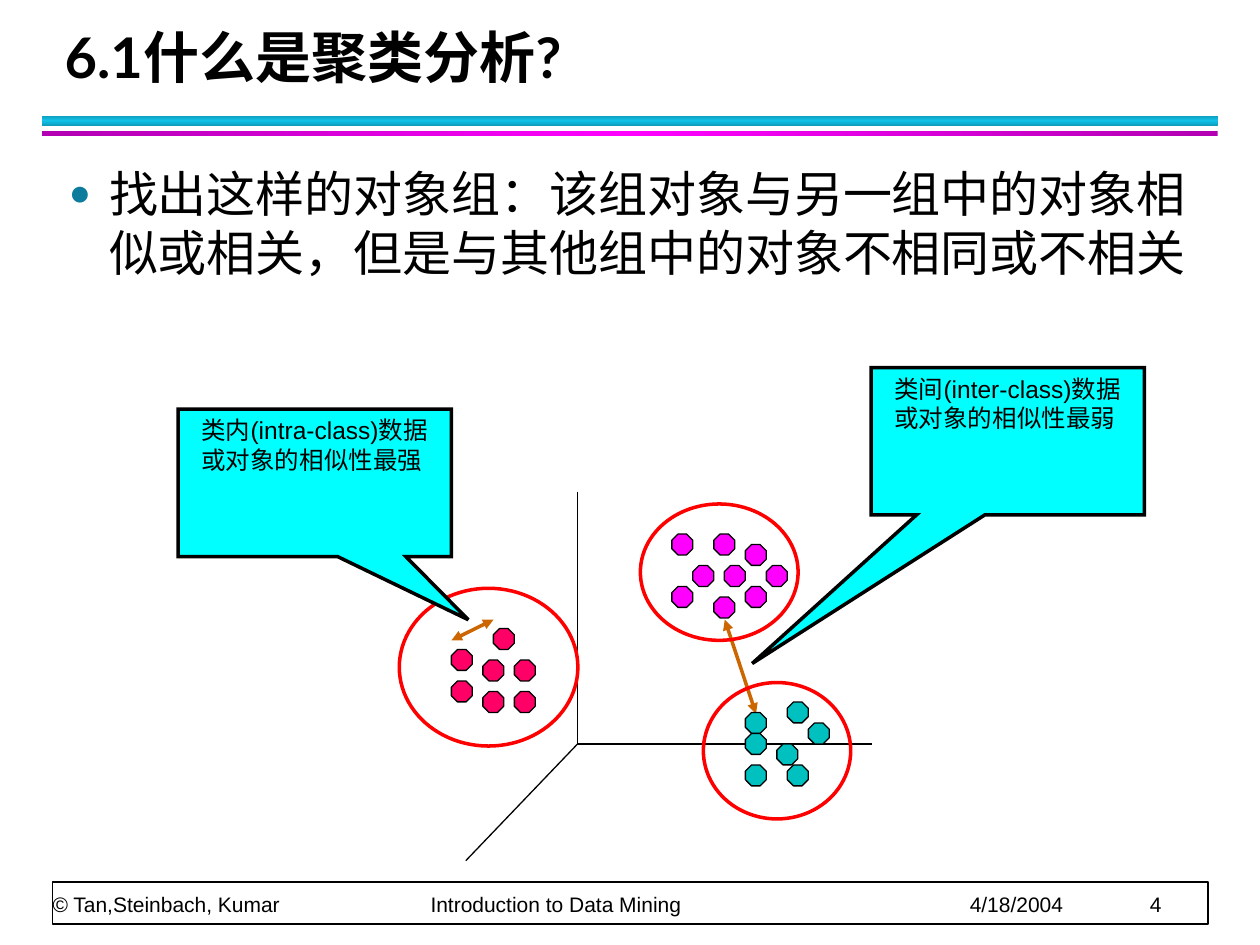
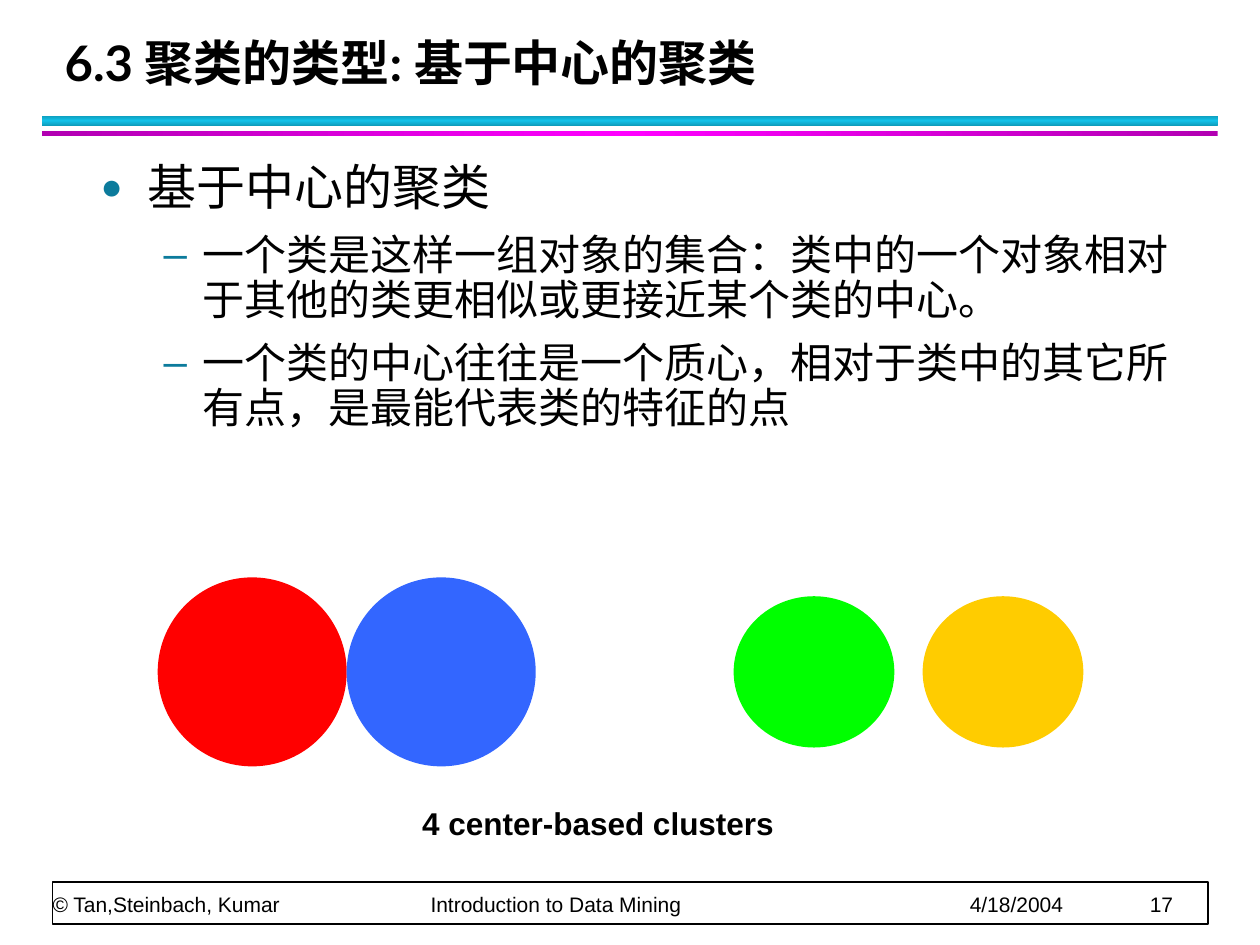
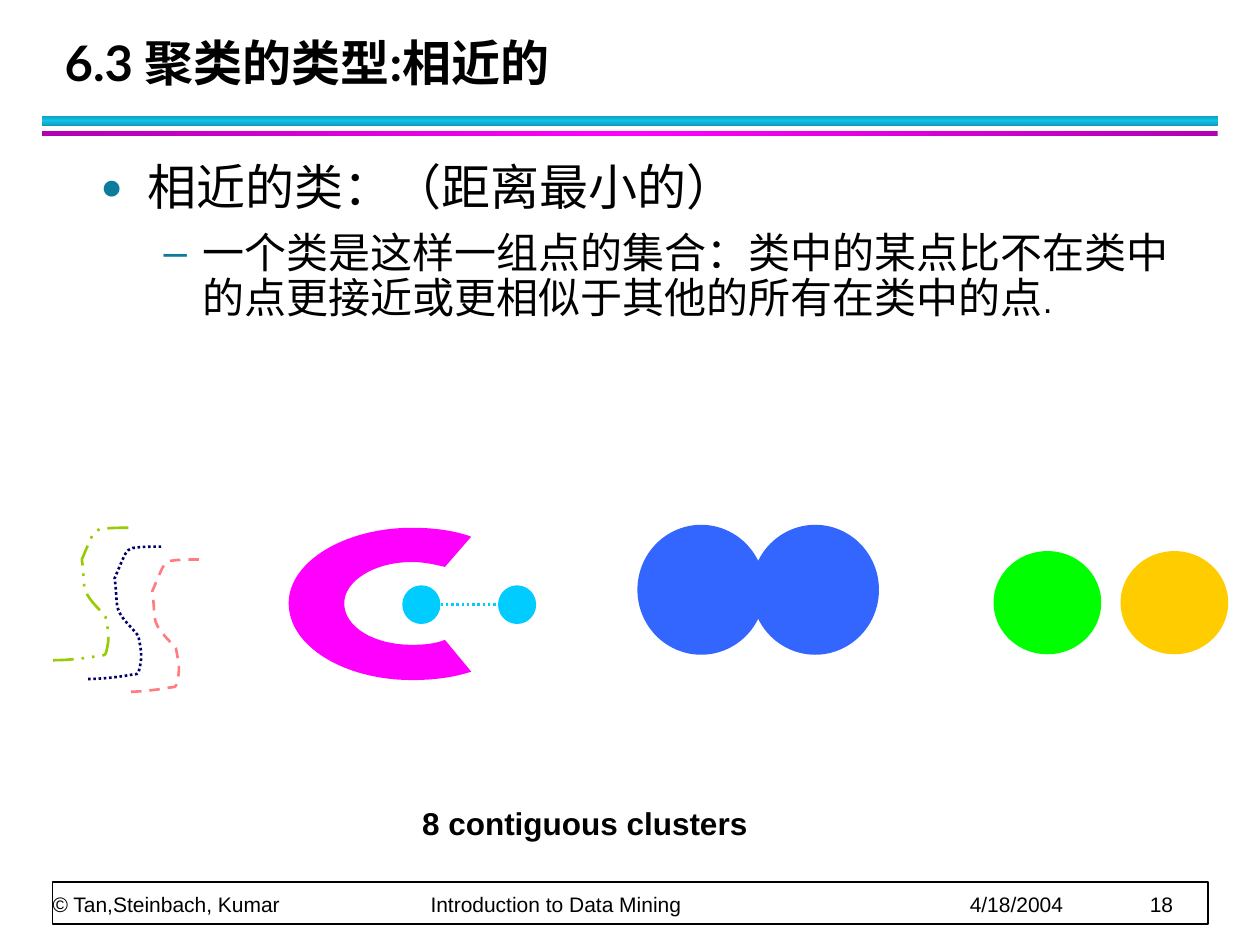
from copy import deepcopy

from lxml.etree import SubElement
from pptx import Presentation
from pptx.dml.color import RGBColor
from pptx.enum.dml import MSO_LINE as Dash
from pptx.enum.shapes import MSO_CONNECTOR, MSO_SHAPE as Preset
from pptx.enum.text import MSO_ANCHOR as Anchor, MSO_AUTO_SIZE, PP_ALIGN as Align
from pptx.oxml.ns import qn
from pptx.util import Cm, Pt

COLORS = {
    "text": "000000", "paper": "FFFFFF", "bullet": "0C7B9C",
    "teal_edge": "0E9BBA", "teal_middle": "12C2E9",
    "purple_edge": "B200B2", "magenta": "FF00FF",
    "pink": "FF0066", "teal": "00C0C0", "red": "FF0000", "brown": "CC6600",
    "aqua": "00FFFF", "blue": "3366FF", "green": "00FF00", "gold": "FFCC00",
    "sky": "00CCFF", "olive": "99CC00", "navy": "000066", "salmon": "FF7C80",
}
RGB = {name: RGBColor.from_string(value) for name, value in COLORS.items()}

TITLE_PARAGRAPH = {"alignment": Align.LEFT, "line_spacing": Pt(36)}
FOOTER_PARAGRAPH = {"line_spacing": Pt(20)}
CALLOUT_PARAGRAPH = {"alignment": Align.CENTER, "space_before": Pt(8.8)}
CAPTION_PARAGRAPH = {"space_before": Pt(11.2)}
NO_MARGINS = {"margin_left": 0, "margin_right": 0, "margin_top": 0, "margin_bottom": 0}

# level: left margin, hanging indent, line spacing, bullet, bullet size in percent
BULLETS = {
    "lead": (0.81, 0.81, 1.0, "●", 75),
    "topic": (0.95, 0.95, 0.9, "●", 75),
    "detail": (2.06, 0.79, 0.9, "–", 100),
}
FOOTER_TABS = [7.62, 18.49, 22.12]
BANDS = [
    (2.33, 0.21, "teal_edge", "teal_middle", 90),
    (2.64, 0.1, "purple_edge", "magenta", 0),
]

# page, title, title size, title height, body box, bullet paragraphs
PAGES = [
    (4, "6.1什么是聚类分析?", 32, 1.5, (1.14, 3.18, 23.11, 3.61), [
        ("lead", 3.5, [("找出这样的对象组：该组对象与另一组中的对象相似或相关，"
                        "但是与其他组中的对象不相同或不相关", 28)]),
    ]),
    (17, "6.3 聚类的类型: 基于中心的聚类", 28, 1.54, (1.78, 3.17, 22.23, 14.2), [
        ("topic", 7, [("基于中心的聚类", 28)]),
        ("detail", 6, [("一个类是这样一组对象的集合：类中的一个对象相对于"
                        "其他的类更相似或更接近某个类的中心。", 24)]),
        ("detail", 6, [("一个类的中心往往是一个质心，相对于类中的其它所有点，"
                        "是最能代表类的特征的点", 24)]),
    ]),
    (18, "6.3 聚类的类型:相近的", 28, 1.54, (1.78, 3.17, 22.23, 14.2), [
        ("topic", 7, [("相近的类：（距离最小的）", 28)]),
        ("detail", 5, [("一个类是这样一组点的集合：类中的某点比不在类中的点"
                        "更接近或更相似于其他的所有在类中的点", 24), (".", 20)]),
    ]),
]


def draw(slide, preset, box, fill=None, line=None, width=0.75):
    """Add a preset shape; box is left, top, width and height in centimetres."""
    shape = slide.shapes.add_shape(preset, *map(Cm, box))
    shape.shadow.inherit = False
    if fill:
        shape.fill.solid()
        shape.fill.fore_color.rgb = RGB[fill]
    else:
        shape.fill.background()
    if line:
        shape.line.color.rgb = RGB[line]
        shape.line.width = Pt(width)
    else:
        shape.line.fill.background()
    return shape


def write(paragraph, text, size, values, name="Arial", bold=False):
    """Add one run and set the paragraph attributes given in values."""
    for key, value in values.items():
        setattr(paragraph, key, value)
    run = paragraph.add_run()
    run.text = text
    for key, value in {"size": Pt(size), "name": name, "bold": bold}.items():
        setattr(run.font, key, value)
    run.font.color.rgb = RGB["text"]


deck = Presentation()
deck.slide_width, deck.slide_height = Cm(25.4), Cm(19.05)
title_only = deck.slide_layouts[5]
definition, centers, contiguous = [deck.slides.add_slide(title_only) for page in PAGES]

# Bands and footer frame, moved to the layout that all slides use
for top, height, edge, middle, angle in BANDS:
    band = draw(definition, Preset.RECTANGLE, (0.85, top, 23.7, height))
    band.fill.gradient()
    band.fill.gradient_angle = angle
    first, second = band.fill.gradient_stops
    first.color.rgb, first.position = RGB[edge], 0
    second.color.rgb, second.position = RGB[middle], 0.5
    stops = band.element.spPr.find(".//" + qn("a:gsLst"))
    last = deepcopy(stops[0])
    last.set("pos", "100000")
    stops.append(last)
    title_only.shapes.element.append(band.element)
footer_frame = draw(definition, Preset.RECTANGLE, (1.06, 17.78, 23.29, 0.85),
                    "paper", "text", 1)
title_only.shapes.element.append(footer_frame.element)

for slide, page in zip(deck.slides, PAGES):
    number, heading, heading_size, heading_height, body_box, bullets = page

    footer = slide.shapes.add_textbox(Cm(1.06), Cm(17.07), Cm(23.24), Cm(1.42)).text_frame
    for key, value in {**NO_MARGINS, "word_wrap": True,
                       "vertical_anchor": Anchor.BOTTOM}.items():
        setattr(footer, key, value)
    credits = ["© Tan,Steinbach, Kumar", "Introduction to Data Mining", "4/18/2004", str(number)]
    write(footer.paragraphs[0], "\t".join(credits), 12, FOOTER_PARAGRAPH)
    tabs = SubElement(footer.paragraphs[0]._p.get_or_add_pPr(), qn("a:tabLst"))
    for stop in FOOTER_TABS:
        SubElement(tabs, qn("a:tab"), pos=str(Cm(stop)), algn="l")

    title = slide.shapes.title
    for key, value in {"left": 1.05, "top": 0.43, "width": 23.01,
                       "height": heading_height}.items():
        setattr(title, key, Cm(value))
    for key, value in {"vertical_anchor": Anchor.BOTTOM, "word_wrap": True,
                       "auto_size": MSO_AUTO_SIZE.NONE}.items():
        setattr(title.text_frame, key, value)
    write(title.text_frame.paragraphs[0], heading, heading_size, TITLE_PARAGRAPH, "Lato", True)

    body = slide.shapes.add_textbox(*map(Cm, body_box)).text_frame
    body.word_wrap = True
    for index, (level, before, runs) in enumerate(bullets):
        paragraph = body.add_paragraph() if index else body.paragraphs[0]
        margin, hanging, spacing, mark, percent = BULLETS[level]
        values = {"line_spacing": spacing, "space_before": Pt(before), "space_after": Pt(4)}
        for text, size in runs:
            write(paragraph, text, size, values)
        properties = paragraph._p.get_or_add_pPr()
        properties.set("marL", str(Cm(margin)))
        properties.set("indent", str(-Cm(hanging)))
        SubElement(SubElement(properties, qn("a:buClr")), qn("a:srgbClr"), val=COLORS["bullet"])
        SubElement(properties, qn("a:buSzPct"), val=str(percent * 1000))
        SubElement(properties, qn("a:buFont"), typeface="Arial")
        SubElement(properties, qn("a:buChar"), char=mark)

# Axes, distance arrows and the dotted bridge
ORIGIN_X, ORIGIN_Y = 11.64, 15
LINKS = [
    (definition, (ORIGIN_X, 9.91), (ORIGIN_X, ORIGIN_Y), "text", 0.75, None, False),
    (definition, (ORIGIN_X, ORIGIN_Y), (17.57, ORIGIN_Y), "text", 0.75, None, False),
    (definition, (ORIGIN_X, ORIGIN_Y), (9.39, 17.35), "text", 0.75, None, False),
    (definition, (15.24, 14.39), (14.61, 12.49), "brown", 2, None, True),
    (definition, (9.1, 12.91), (9.95, 12.49), "brown", 2, None, True),
    (contiguous, (8.88, 12.19), (10.03, 12.19), "sky", 1.5, Dash.ROUND_DOT, False),
]
for slide, start, end, color, width, dash, arrows in LINKS:
    link = slide.shapes.add_connector(MSO_CONNECTOR.STRAIGHT, *map(Cm, start + end))
    link.line.color.rgb = RGB[color]
    link.line.width = Pt(width)
    if dash:
        link.line.dash_style = dash
    if arrows:
        for tip in ("a:headEnd", "a:tailEnd"):
            SubElement(link.element.spPr.find(qn("a:ln")), qn(tip), type="triangle")
    SubElement(link.element.spPr, qn("a:effectLst"))

# Data points, counted in grid steps from the axis origin
STEP = 2.54 / 12
POINTS = {
    "magenta": [(11, -17), (14, -17), (13, -20), (13, -14), (18, -17),
                (16, -19), (9, -20), (16, -15), (9, -15)],
    "pink": [(-12, -9), (-9, -8), (-9, -5), (-6, -8), (-8, -11), (-6, -5), (-12, -6)],
    "teal": [(16, -3), (22, -2), (19, 0), (16, 2), (20, 2), (16, -1), (20, -4)],
}
for color, cells in POINTS.items():
    for column, row in cells:
        place = (ORIGIN_X + column * STEP, ORIGIN_Y + row * STEP, 0.42, 0.42)
        draw(definition, Preset.OCTAGON, place, color, "text")

CLUSTER_RINGS = [(8.05, 11.86, 3.6, 3.18), (12.91, 10.16, 3.18, 2.75), (14.18, 13.76, 2.97, 2.75)]
for ring in CLUSTER_RINGS:
    draw(definition, Preset.OVAL, ring, line="red", width=2)

CALLOUTS = [
    ((17.56, 7.41), (-0.935, 1.509), "类间(inter-class)数据或对象的相似性最弱 "),
    ((3.59, 8.25), (0.562, 0.929), "类内(intra-class)数据或对象的相似性最强 "),
]
for corner, pointer, remark in CALLOUTS:
    callout = draw(definition, Preset.RECTANGULAR_CALLOUT, corner + (5.51, 2.97),
                   "aqua", "text", 2)
    SubElement(callout.element.spPr.find(qn("a:ln")), qn("a:miter"), lim="800000")
    callout.adjustments[0], callout.adjustments[1] = pointer
    callout.text_frame.word_wrap = True
    callout.text_frame.vertical_anchor = Anchor.TOP
    write(callout.text_frame.paragraphs[0], remark, 14, CALLOUT_PARAGRAPH)

# Outline steps, relative to the start: one point is a line, three are a curve
S_BENDS = [
    [(-0.2, 0), (-0.41, 0), (-0.58, 0.03)],
    [(-0.64, 0.05), (-0.69, 0.08), (-0.71, 0.13)],
    [(-0.74, 0.15), (-0.91, 0.58), (-0.94, 0.64)],
    [(-0.91, 0.81), (-0.91, 0.99), (-0.89, 1.17)],
    [(-0.86, 1.42), (-0.61, 1.6), (-0.46, 1.8)],
    [(-0.41, 2.08), (-0.36, 2.21), (-0.46, 2.54)],
    [(-0.48, 2.59), (-0.58, 2.57), (-0.64, 2.59)],
    [(-0.94, 2.64), (-1.24, 2.67), (-1.52, 2.67)],
]
CRESCENT_RIM = [
    [(-0.2, 0.08), (-0.43, 0.1), (-0.66, 0.1)],
    [(-1.42, 0.1), (-2.03, -0.25), (-2.03, -0.74)],
    [(-2.03, -1.19), (-1.42, -1.57), (-0.66, -1.57)],
    [(-0.43, -1.57), (-0.2, -1.52), (0, -1.47)],
    [(0.53, -2.08)],
    [(0.18, -2.21), (-0.25, -2.26), (-0.66, -2.26)],
    [(-2.03, -2.26), (-3.15, -1.57), (-3.15, -0.74)],
    [(-3.15, 0.13), (-2.03, 0.81), (-0.66, 0.81)],
    [(-0.25, 0.81), (0.18, 0.76), (0.53, 0.64)],
]
OUTLINES = [
    (2.59, 10.64, S_BENDS, "olive", Dash.DASH_DOT_DOT),
    (3.25, 11.02, S_BENDS, "navy", Dash.ROUND_DOT),
    (4.01, 11.28, S_BENDS, "salmon", Dash.DASH),
    (8.97, 12.9, CRESCENT_RIM, "magenta", None),
]
for x, y, steps, color, dash in OUTLINES:
    builder = contiguous.shapes.build_freeform(Cm(x), Cm(y))
    builder.add_line_segments([(Cm(x + dx), Cm(y + dy)) for step in steps for dx, dy in step],
                              close=dash is None)
    outline = builder.convert_to_shape()
    outline.shadow.inherit = False
    segments = iter(outline.element.spPr.findall(".//" + qn("a:lnTo")))
    for step in steps:
        parts = [next(segments) for point in step]
        if len(parts) == 3:
            curve = parts[0].getparent().makeelement(qn("a:cubicBezTo"))
            parts[0].addprevious(curve)
            for part in parts:
                curve.append(part[0])
                part.getparent().remove(part)
    if dash:
        outline.fill.background()
        outline.line.color.rgb = RGB[color]
        outline.line.width = Pt(1.5)
        outline.line.dash_style = dash
    else:
        outline.fill.solid()
        outline.fill.fore_color.rgb = RGB[color]
        outline.line.fill.background()

# slide, lefts with colours, top, width, height
DISC_PAIRS = [
    (centers, {3.18: "red", 6.99: "blue"}, 11.64, 3.81, 3.81),
    (centers, {14.79: "green", 18.6: "gold"}, 12.02, 3.24, 3.05),
    (contiguous, {8.11: "sky", 10.04: "sky"}, 11.8, 0.77, 0.78),
    (contiguous, {20.03: "green", 22.59: "gold"}, 11.11, 2.17, 2.08),
    (contiguous, {12.85: "blue", 15.15: "blue"}, 10.58, 2.57, 2.62),
]
for slide, discs, top, width, height in DISC_PAIRS:
    for left, color in discs.items():
        draw(slide, Preset.OVAL, (left, top, width, height), color)

for slide, summary in [(centers, "4 center-based clusters"),
                       (contiguous, "8 contiguous clusters")]:
    caption = slide.shapes.add_textbox(Cm(8.26), Cm(16.08), Cm(8.89), Cm(1.02)).text_frame
    caption.word_wrap = True
    write(caption.paragraphs[0], summary, 18, CAPTION_PARAGRAPH, bold=True)

deck.save("out.pptx")
